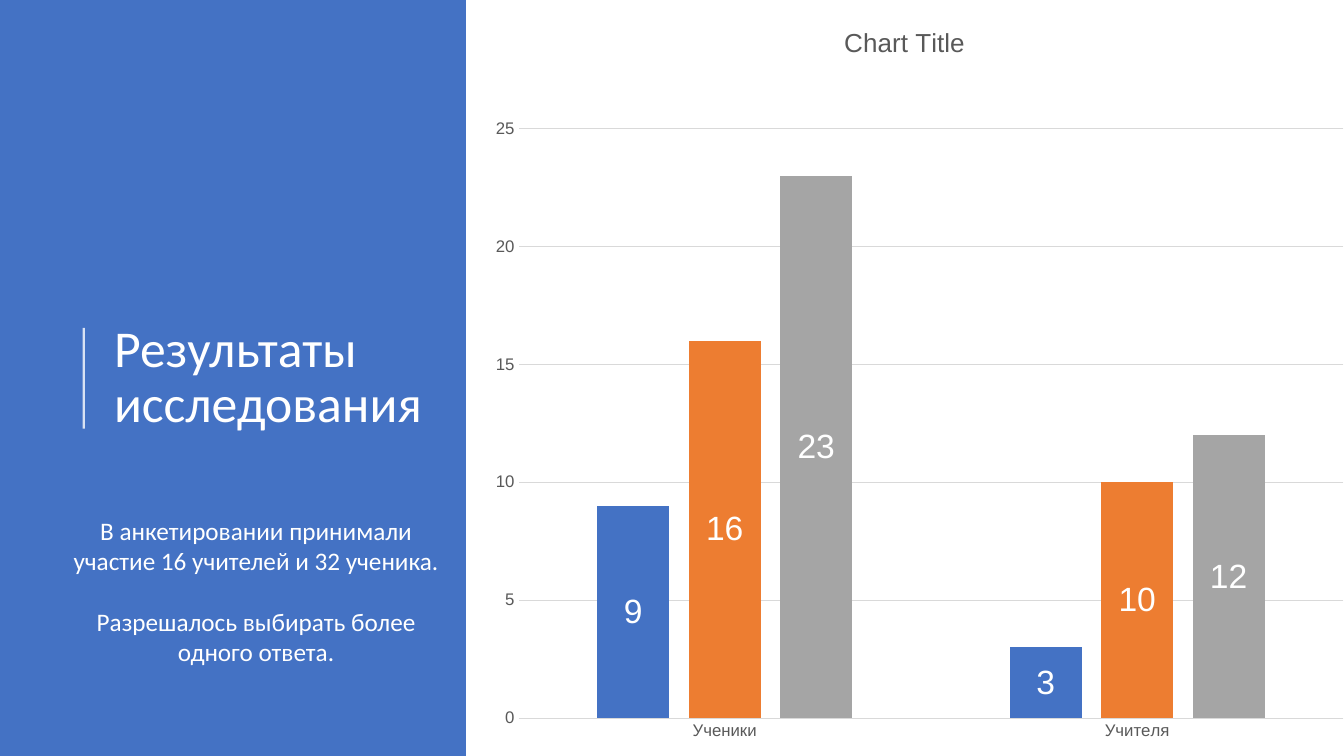
from dataclasses import dataclass

from lxml import etree
from pptx import Presentation
from pptx.chart.data import CategoryChartData
from pptx.dml.color import RGBColor
from pptx.enum.chart import XL_CHART_TYPE, XL_LABEL_POSITION, XL_TICK_MARK
from pptx.enum.shapes import MSO_CONNECTOR, MSO_SHAPE
from pptx.enum.text import MSO_ANCHOR, MSO_AUTO_SIZE, PP_ALIGN
from pptx.oxml import parse_xml
from pptx.oxml.ns import nsdecls, qn
from pptx.util import Cm, Pt

COLUMN_CLUSTERED = XL_CHART_TYPE.COLUMN_CLUSTERED
LABEL_CENTER = XL_LABEL_POSITION.CENTER
NO_TICKS = XL_TICK_MARK.NONE
STRAIGHT = MSO_CONNECTOR.STRAIGHT
RECTANGLE = MSO_SHAPE.RECTANGLE
MIDDLE = MSO_ANCHOR.MIDDLE
NO_AUTOFIT = MSO_AUTO_SIZE.NONE
LEFT, CENTER = PP_ALIGN.LEFT, PP_ALIGN.CENTER


@dataclass(frozen=True)
class Theme:
    white = RGBColor.from_string("FFFFFF")
    blue = RGBColor.from_string("4472C4")
    orange = RGBColor.from_string("ED7D31")
    gray = RGBColor.from_string("A5A5A5")
    grid = RGBColor.from_string("D9D9D9")
    chart_text = RGBColor.from_string("595959")
    text_font = "Calibri"
    chart_font = "Arial"
    title_size = Pt(36.9)
    body_size = Pt(18)
    chart_title_size = Pt(18.6)
    axis_size = Pt(12)
    label_size = Pt(24)


theme = Theme()


def style_font(font, name, size, color):
    font.name = name
    font.size = size
    font.bold = False
    font.color.rgb = color


presentation = Presentation()
presentation.slide_width = Cm(33.87)
presentation.slide_height = Cm(19.05)
slide = presentation.slides.add_slide(presentation.slide_layouts[5])
title = slide.shapes.title

# Blue side panel with its accent line, both behind the title
panel_width = Cm(11.74)
panel = slide.shapes.add_shape(RECTANGLE, 0, 0, panel_width, presentation.slide_height)
panel.shadow.inherit = False
panel.fill.solid()
panel.fill.fore_color.rgb = theme.blue
panel.line.fill.background()

accent = slide.shapes.add_connector(STRAIGHT, Cm(2.11), Cm(10.8), Cm(2.11), Cm(8.26))
accent.line.color.rgb = theme.white
accent.line.width = Pt(1.5)
accent_properties = accent.element.spPr
accent_color = accent_properties.find(".//" + qn("a:srgbClr"))
etree.SubElement(accent_color, qn("a:alpha"), val="80000")
accent_properties.append(parse_xml(f"<a:effectLst {nsdecls('a')}/>"))

for shape in (panel, accent):
    title.element.addprevious(shape.element)

# Title
title.left, title.top = Cm(2.62), Cm(8.26)
title.width, title.height = Cm(9.37), Cm(2.54)
title_frame = title.text_frame
title_frame.text = "Результаты исследования"
title_frame.word_wrap = True
title_frame.auto_size = NO_AUTOFIT
title_frame.vertical_anchor = MIDDLE
title_paragraph = title_frame.paragraphs[0]
title_paragraph.alignment = LEFT
title_paragraph.line_spacing = 0.9
style_font(title_paragraph.runs[0].font, theme.text_font, theme.title_size, theme.white)

# Survey notes
notes_box = slide.shapes.add_textbox(Cm(1.45), Cm(12.85), Cm(10.01), Cm(4.11))
notes_frame = notes_box.text_frame
notes_frame.word_wrap = True
notes_frame.text = (
    "В анкетировании принимали участие 16 учителей и 32 ученика.\n"
    "Разрешалось выбирать более одного ответа."
)
for paragraph in notes_frame.paragraphs:
    paragraph.alignment = CENTER
    style_font(paragraph.runs[0].font, theme.text_font, theme.body_size, theme.white)
notes_frame.paragraphs[1].space_before = Pt(22)

# Column chart
survey_series = [
    ("Series 1", (9, 3), theme.blue),
    ("Series 2", (16, 10), theme.orange),
    ("Series 3", (23, 12), theme.gray),
]
chart_data = CategoryChartData()
chart_data.categories = ["Ученики", "Учителя"]
for name, values, color in survey_series:
    chart_data.add_series(name, values)

chart = slide.shapes.add_chart(
    COLUMN_CLUSTERED,
    panel_width, 0,
    presentation.slide_width - panel_width, presentation.slide_height,
    chart_data,
).chart
chart.font.name = theme.chart_font
chart.font.size = theme.axis_size
chart.has_legend = False
chart.has_title = True
chart_title = chart.chart_title.text_frame
chart_title.text = "Chart Title"
style_font(chart_title.paragraphs[0].runs[0].font,
           theme.chart_font, theme.chart_title_size, theme.chart_text)

plot = chart.plots[0]
plot.vary_by_categories = False
plot.gap_width = 219
plot.overlap = -27
for series, (name, values, color) in zip(plot.series, survey_series):
    series.format.fill.solid()
    series.format.fill.fore_color.rgb = color
    labels = series.data_labels
    labels.show_value = True
    labels.position = LABEL_CENTER
    style_font(labels.font, theme.chart_font, theme.label_size, theme.white)

category_axis, value_axis = chart.category_axis, chart.value_axis
for axis in (category_axis, value_axis):
    axis.major_tick_mark = NO_TICKS
    axis.minor_tick_mark = NO_TICKS
    style_font(axis.tick_labels.font, theme.chart_font, theme.axis_size, theme.chart_text)
value_axis.minimum_scale = 0
value_axis.maximum_scale = 25
value_axis.major_unit = 5
value_axis.has_major_gridlines = True
value_axis.format.line.fill.background()
for line in (category_axis.format.line, value_axis.major_gridlines.format.line):
    line.color.rgb = theme.grid
    line.width = Pt(0.75)

# Fixed place of the plot inside the chart, as fractions of its size
plot_area = plot._element.getparent()
for old_layout in plot_area.findall(qn("c:layout")):
    plot_area.remove(old_layout)
layout = etree.Element(qn("c:layout"))
manual_layout = etree.SubElement(layout, qn("c:manualLayout"))
for tag, value in (
    ("layoutTarget", "inner"), ("xMode", "edge"), ("yMode", "edge"),
    ("x", "0.06"), ("y", "0.17"), ("w", "0.94"), ("h", "0.78"),
):
    etree.SubElement(manual_layout, qn(f"c:{tag}"), val=value)
plot_area.insert(0, layout)

presentation.save("out.pptx")
